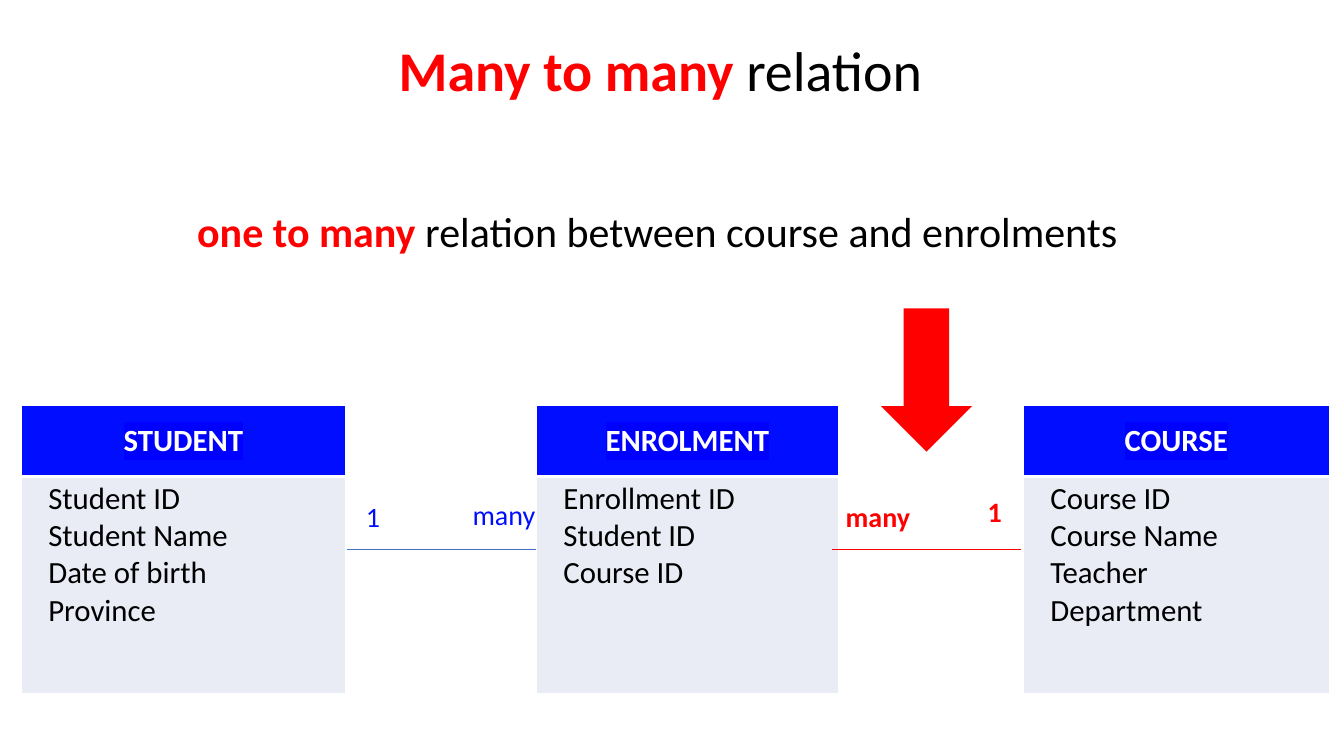
from lxml import etree
from pptx import Presentation
from pptx import util as u
from pptx.dml.color import RGBColor
from pptx.enum import shapes, text
from pptx.oxml.ns import qn

HUES = {"blue": "000DFF", "mark": "0000FF", "red": "FF0000", "black": "000000",
        "white": "FFFFFF", "pale": "E9EBF5", "line": "4472C4"}
MID = text.PP_ALIGN.CENTER


def hue(name):
    return RGBColor.from_string(HUES[name])


def solid(parent, name):
    fill = etree.SubElement(parent, qn("a:solidFill"))
    etree.SubElement(fill, qn("a:srgbClr"), val=HUES[name])


def write(frame, *paras, size=20, color="black", bold=False, align=None, mark=None):
    """Fill a frame; a paragraph is a string or a list of (text, color, bold)."""
    for i, para in enumerate(paras):
        p = frame.add_paragraph() if i else frame.paragraphs[0]
        p.alignment = align
        runs = [(para, color, bold)] if isinstance(para, str) else para
        for words, tint, heavy in runs:
            run = p.add_run()
            run.text = words
            font = run.font
            font.size, font.bold = u.Pt(size), heavy
            font.color.rgb = hue(tint)
            if mark:
                light = etree.SubElement(run._r.get_or_add_rPr(), qn("a:highlight"))
                etree.SubElement(light, qn("a:srgbClr"), val=HUES[mark])
            font.name = "Calibri"


class Page:
    """Holds the style and the current slide; lengths are in centimetres."""

    def __init__(self, deck):
        self.slide = deck.slides.add_slide(deck.slide_layouts[5])
        self.items = self.slide.shapes

    def title(self, box, *paras, **style):
        head = self.items.title
        head.left, head.top, head.width, head.height = map(u.Cm, box)
        head.text_frame.auto_size = text.MSO_AUTO_SIZE.NONE
        write(head.text_frame, *paras, **style)

    def label(self, box, *paras, **style):
        frame = self.items.add_textbox(*map(u.Cm, box)).text_frame
        frame.word_wrap = True
        write(frame, *paras, **style)

    def line(self, left, right, y, color):
        link = self.items.add_connector(shapes.MSO_CONNECTOR.STRAIGHT,
                                        u.Cm(left), u.Cm(y), u.Cm(right), u.Cm(y))
        link.line.color.rgb = hue(color)
        link.line.width = u.Pt(0.5)
        etree.SubElement(link._element.spPr, qn("a:effectLst"))

    def arrow(self, box, color):
        arrow = self.items.add_shape(shapes.MSO_SHAPE.DOWN_ARROW, *map(u.Cm, box))
        arrow.shadow.inherit = False
        arrow.fill.solid()
        arrow.fill.fore_color.rgb = hue(color)
        arrow.line.fill.background()

    def cell(self, cell, fill, inset, sides):
        """Set fill, left inset and the border widths (left, right, top, bottom)."""
        cell.fill.solid()
        cell.fill.fore_color.rgb = hue(fill)
        cell.margin_left, cell.margin_right = u.Cm(inset), u.Cm(0.18)
        cell.margin_top = cell.margin_bottom = u.Cm(0.08)
        props = cell._tc.get_or_add_tcPr()
        for i, (side, width) in enumerate(zip("LRTB", sides)):
            edge = etree.Element(qn("a:ln" + side), w=str(u.Pt(width)))
            solid(edge, "white")
            props.insert(i, edge)

    def entity(self, left, width, name, fields):
        """Draw a table with a header cell and a cell of fields."""
        rows = (1.8, 5.46)
        grid = self.items.add_table(2, 1, u.Cm(left), u.Cm(10.21),
                                    u.Cm(width), u.Cm(sum(rows))).table
        for row, high in zip(grid.rows, rows):
            row.height = u.Cm(high)
        head, body = grid.cell(0, 0), grid.cell(1, 0)
        self.cell(head, "blue", 0.18, (1, 1, 1, 3))
        self.cell(body, "pale", 0.69, (1, 1, 3, 1))
        head.vertical_anchor = text.MSO_ANCHOR.MIDDLE
        write(head.text_frame, name, size=22, color="white", bold=True,
              align=MID, mark="mark")
        write(body.text_frame, *fields, size=22)


def main():
    deck = Presentation()
    deck.slide_width, deck.slide_height = u.Inches(13.333), u.Inches(7.5)
    page = Page(deck)
    page.title((8.88, 0.76, 15.52, 1.96),
               [("Many to many ", "red", True), ("relation", "black", False)],
               size=40, align=MID)
    page.label((4.72, 5.05, 25.2, 1.55),
               [("one to many ", "red", True),
                ("relation between course and enrolments", "black", False)], size=30)

    for left, width, name, fields in (
            (0.53, 8.18, "STUDENT",
             ("Student ID", "Student Name", "Date of birth", "Province")),
            (13.51, 7.62, "ENROLMENT", ("Enrollment ID", "Student ID", "Course ID")),
            (25.78, 7.72, "COURSE",
             ("Course ID", "Course Name", "Teacher", "Department"))):
        page.entity(left, width, name, fields)

    for left, color in ((8.74, "line"), (20.96, "red")):
        page.line(left, left + 4.77, 13.84, color)

    for left, top, width, words, color, bold in (
            (8.97, 12.47, 1.07, "1", "blue", False),
            (11.66, 12.4, 2.29, "many", "blue", False),
            (21.06, 12.47, 2.29, "many", "red", True),
            (24.64, 12.34, 1.07, "1", "red", True)):
        page.label((left, top, width, 1.12), words, color=color, bold=bold)

    page.arrow((22.2, 7.77, 2.29, 3.61), "red")
    deck.save("out.pptx")


if __name__ == "__main__":
    main()
